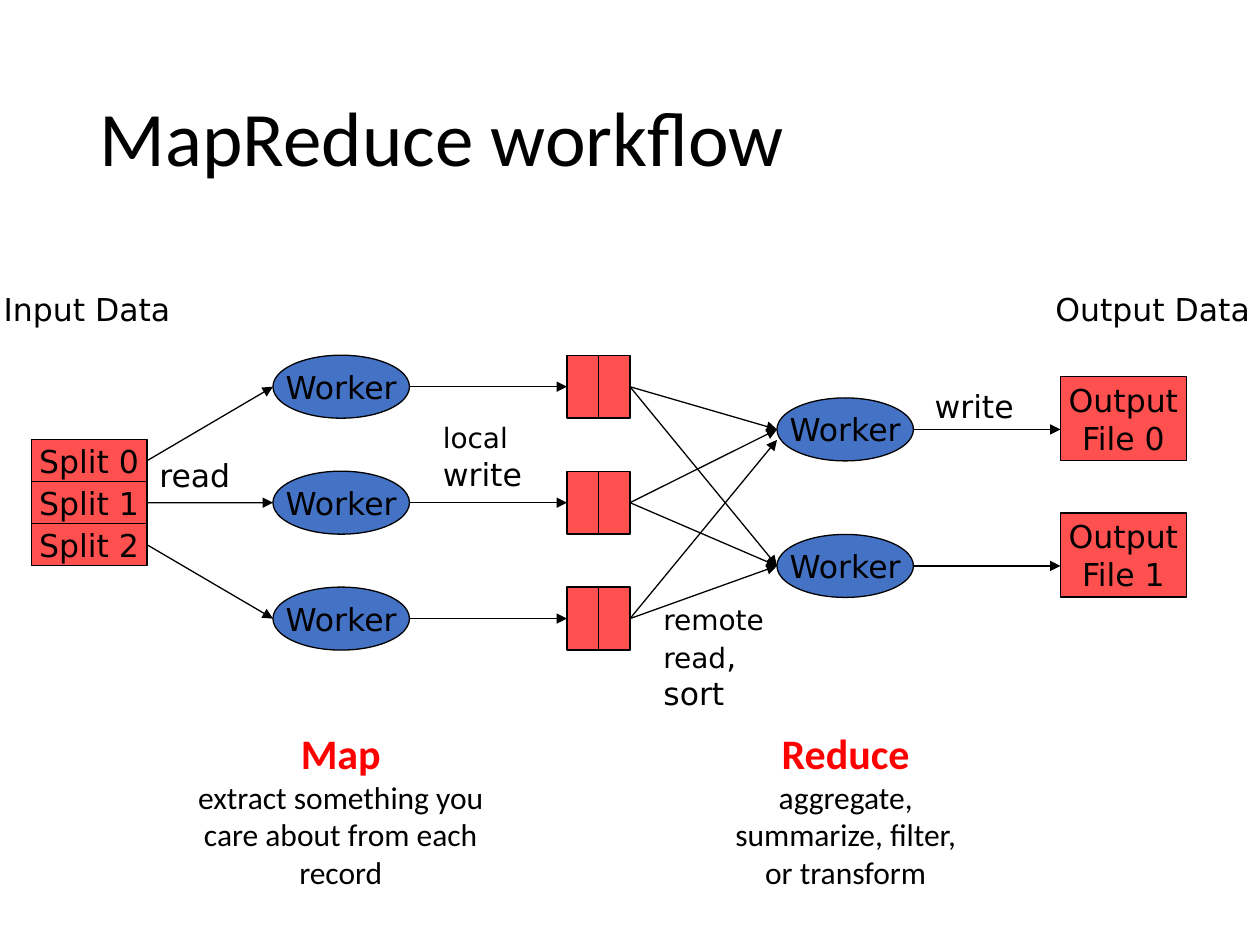
from pptx import Presentation
from pptx import util as u
from pptx.dml.color import RGBColor
from pptx.enum import shapes, text
from pptx.oxml.ns import qn
from lxml import etree

BLACK = RGBColor(0x00, 0x00, 0x00)
RED = RGBColor(0xFF, 0x00, 0x00)
CORAL = RGBColor(0xFF, 0x50, 0x50)
BLUE = RGBColor(0x44, 0x72, 0xC4)
DIAGRAM_FONT = "DejaVu Sans"
PROSE_FONT = "Calibri"
LEFT_SIDE, RIGHT_SIDE = 1, 3


def style_run(run, size, font=DIAGRAM_FONT, color=BLACK, bold=False):
    """Set the size, typeface, colour and weight of a run."""
    run.font.size = u.Pt(size)
    run.font.name = font
    run.font.color.rgb = color
    run.font.bold = bold


def add_node(slide, kind, box, fill, caption=""):
    """Add an outlined shape with a centred caption."""
    shape = slide.shapes.add_shape(kind, *map(u.Pt, box))
    shape.shadow.inherit = False
    shape.fill.solid()
    shape.fill.fore_color.rgb = fill
    shape.line.color.rgb = BLACK
    shape.line.width = u.Pt(0.75)
    frame = shape.text_frame
    frame.word_wrap = False
    frame.vertical_anchor = text.MSO_ANCHOR.MIDDLE
    frame.text = caption
    for paragraph in frame.paragraphs:
        paragraph.alignment = text.PP_ALIGN.CENTER
        for run in paragraph.runs:
            style_run(run, 18)
    return shape


def add_text(slide, box, wrap=False):
    """Add a text box that grows with its text and return its frame."""
    frame = slide.shapes.add_textbox(*map(u.Pt, box)).text_frame
    frame.word_wrap = wrap
    frame.auto_size = text.MSO_AUTO_SIZE.SHAPE_TO_FIT_TEXT
    return frame


def add_label(slide, box, *lines):
    """Add a label, one paragraph per line, each line a list of (words, size)."""
    frame = add_text(slide, box)
    for index, line in enumerate(lines):
        paragraph = frame.add_paragraph() if index else frame.paragraphs[0]
        for words, size in line:
            run = paragraph.add_run()
            run.text = words
            style_run(run, size)


def add_arrow(slide, start, end, source=None, target=None):
    """Draw an arrow, joined to a source's right or a target's left side."""
    arrow = slide.shapes.add_connector(
        shapes.MSO_CONNECTOR.STRAIGHT, *map(u.Pt, (*start, *end)))
    if source is not None:
        arrow.begin_connect(source, RIGHT_SIDE)
    if target is not None:
        arrow.end_connect(target, LEFT_SIDE)
    arrow.line.color.rgb = BLACK
    arrow.line.width = u.Pt(0.75)
    etree.SubElement(arrow.line._get_or_add_ln(), qn("a:tailEnd"), type="triangle")
    etree.SubElement(arrow._element.spPr, qn("a:effectLst"))


def add_title(slide, box):
    """Write the slide title."""
    frame = slide.shapes.add_textbox(*map(u.Pt, box)).text_frame
    frame.word_wrap = True
    frame.vertical_anchor = text.MSO_ANCHOR.MIDDLE
    frame.text = "MapReduce workflow"
    frame.paragraphs[0].line_spacing = 0.9
    style_run(frame.paragraphs[0].runs[0], 44, PROSE_FONT)


def add_splits(slide, box):
    """Stack the input splits under their heading."""
    left, top, width, height = box
    add_label(slide, (left - 23, top - 89.4, 112.3, 29), [("Input Data", 18)])
    row = height / 3
    return [add_node(slide, shapes.MSO_SHAPE.RECTANGLE,
                     (left, top + i * row, width, row), CORAL, f"Split {i}")
            for i in range(3)]


def add_workers(slide, box, count):
    """Spread workers evenly down a box and return their middle heights."""
    left, top, width, height = box
    size = 36
    step = (height - size) / (count - 1)
    for i in range(count):
        add_node(slide, shapes.MSO_SHAPE.OVAL,
                 (left, top + i * step, width, size), BLUE, "Worker")
    return [top + size / 2 + i * step for i in range(count)]


def add_buckets(slide, box, middles):
    """Add a pair of local files at each middle height."""
    left, top, width, height = box
    half = width / 2
    return [[add_node(slide, shapes.MSO_SHAPE.RECTANGLE,
                      (left + side * half, middle - 18, half, 36), CORAL)
             for side in range(2)] for middle in middles]


def add_outputs(slide, box, middles):
    """Add the output files under their heading, fed by the reduce workers."""
    left, top, width, height = box
    add_label(slide, (left + 74, top - 53.3, 126.7, 29), [("Output Data", 18)])
    for i, middle in enumerate(middles):
        add_node(slide, shapes.MSO_SHAPE.RECTANGLE,
                 (left + width - 72, middle - 30.2, 72, 48), CORAL, f"Output\vFile {i}".replace("\v", "\n"))
        add_arrow(slide, (left, middle), (left + width - 72, middle))
    add_label(slide, (left + 5, top + 2.2, 59.8, 29), [("write", 18)])


def add_read_arrows(slide, box, splits, middles):
    """Link each split to its map worker."""
    left, top, width, height = box
    for split, middle in zip(splits, middles):
        add_arrow(slide, (left, middle), (left + width, middle), source=split)
    add_label(slide, (left, top + 36, 54.7, 29), [("read", 18)])


def add_write_arrows(slide, box, buckets, middles):
    """Link each map worker to its local files."""
    left, top, width, height = box
    for (first, _), middle in zip(buckets, middles):
        add_arrow(slide, (left, middle), (left + width, middle), target=first)
    add_label(slide, (left + 12, top + 16, 60.5, 48), [("local", 16)], [("write", 18)])


def add_shuffle_arrows(slide, box, buckets, middles):
    """Link every pair of local files to every reduce worker."""
    left, top, width, height = box
    for i, (_, last) in enumerate(buckets):
        for j, middle in enumerate(middles):
            drop = 6 if (i, j) == (2, 0) else 0
            add_arrow(slide, (left, top), (left + width, middle + drop), source=last)
    add_label(slide, (left + 12, top + height - 12.5, 72.7, 70.5),
              [("remote", 16)], [("read", 16), (",", 18)], [("sort", 18)])


def add_phase(slide, box, name, description, separate):
    """Name a phase and describe it, on one paragraph or on two."""
    frame = add_text(slide, box, wrap=True)
    frame.text = name
    heading = frame.paragraphs[0]
    body = frame.add_paragraph() if separate else heading
    style_run(heading.runs[0], 24, PROSE_FONT, RED, True)
    run = body.add_run()
    run.text = description
    style_run(run, 18, PROSE_FONT)
    for paragraph in frame.paragraphs:
        paragraph.alignment = text.PP_ALIGN.CENTER


def main():
    """Build the workflow slide and save it."""
    presentation = Presentation()
    presentation.slide_width, presentation.slide_height = u.Pt(720), u.Pt(540)
    slide = presentation.slides.add_slide(presentation.slide_layouts[6])
    add_title(slide, (50, 29, 620, 104))
    reducers = add_workers(slide, (444, 227.4, 78, 114), 2)
    mappers = add_workers(slide, (156, 203, 78, 168.5), 3)
    splits = add_splits(slide, (18, 251.3, 66, 72))
    add_read_arrows(slide, (84, 221, 72, 132.5), splits, mappers)
    buckets = add_buckets(slide, (324, 203, 36, 168.5), mappers)
    add_write_arrows(slide, (234, 221, 90, 132.5), buckets, mappers)
    add_shuffle_arrows(slide, (360, 221, 84, 132.5), buckets, reducers)
    add_outputs(slide, (522, 215.3, 156, 126), reducers)
    add_phase(slide, (98.6, 412, 192.3, 101.5), "Map",
              "extract something you care about from each record", True)
    add_phase(slide, (412, 412, 142.5, 101.5), "Reduce ",
              "aggregate, summarize, filter, or transform", False)
    presentation.save("out.pptx")


if __name__ == "__main__":
    main()
